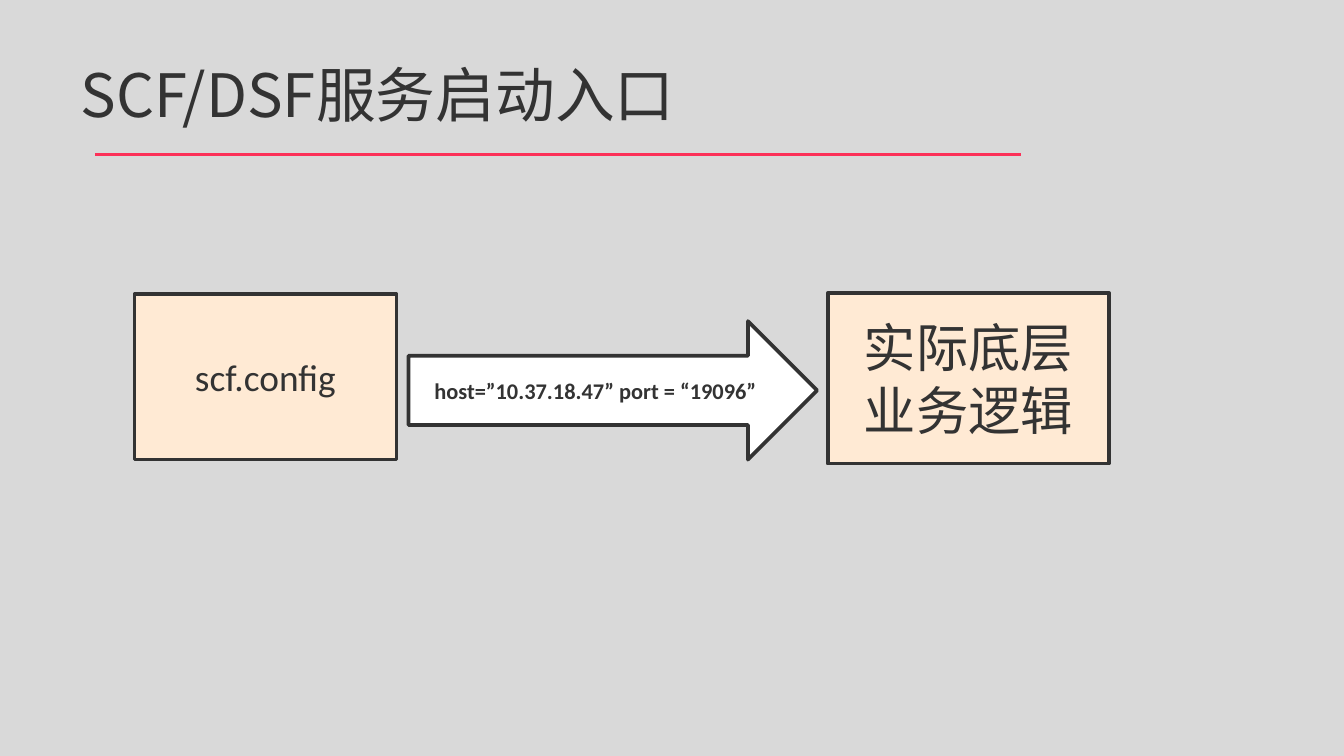
import pptx
import pptx.dml.color
import pptx.enum.shapes
import pptx.enum.text
import pptx.oxml
import pptx.oxml.ns
import pptx.util

Inches = pptx.util.Inches
Pt = pptx.util.Pt
RGBColor = pptx.dml.color.RGBColor
Shape = pptx.enum.shapes.MSO_SHAPE
Align = pptx.enum.text.PP_ALIGN
Anchor = pptx.enum.text.MSO_ANCHOR

GREY = RGBColor(0xD9, 0xD9, 0xD9)
DARK = RGBColor(0x33, 0x33, 0x33)
RED = RGBColor(0xFC, 0x31, 0x58)
PEACH = RGBColor(0xFF, 0xEA, 0xD4)
WHITE = RGBColor(0xFF, 0xFF, 0xFF)
LATIN = "Calibri"
CJK = "Noto Sans CJK SC"


def add_text(frame, text, size, align, font=LATIN, bold=False):
    frame.word_wrap = True
    frame.vertical_anchor = Anchor.MIDDLE
    para = frame.paragraphs[0]
    para.alignment = align
    run = para.add_run()
    run.text = text
    run.font.size = Pt(size)
    run.font.name = font
    run.font.bold = bold
    run.font.color.rgb = DARK
    # East Asian letters take their own typeface
    east = pptx.oxml.parse_xml(
        f'<a:ea {pptx.oxml.ns.nsdecls("a")} typeface="{CJK}"/>')
    run.font._element.find(pptx.oxml.ns.qn("a:latin")).addnext(east)


def add_title(slide, text):
    title = slide.shapes.title
    title.left, title.top = Inches(0.5), Inches(0.23)
    title.width, title.height = Inches(7.09), Inches(0.94)
    add_text(title.text_frame, text, 32, Align.LEFT, CJK)


def add_rule(slide, left, right, top):
    rule = slide.shapes.add_connector(
        pptx.enum.shapes.MSO_CONNECTOR.STRAIGHT,
        Inches(left), Inches(top), Inches(right), Inches(top))
    rule.line.color.rgb = RED
    rule.line.width = Pt(2)
    rule._element.spPr.append(pptx.oxml.parse_xml(
        f'<a:effectLst {pptx.oxml.ns.nsdecls("a")}/>'))


def add_node(slide, kind, place, fill, text, size, bold=False):
    node = slide.shapes.add_shape(kind, *map(Inches, place))
    node.shadow.inherit = False
    node.fill.solid()
    node.fill.fore_color.rgb = fill
    node.line.color.rgb = DARK
    node.line.width = Pt(2)
    add_text(node.text_frame, text, size, Align.CENTER, bold=bold)


def main():
    deck = pptx.Presentation()
    # Wide slide, 16 to 9
    deck.slide_width, deck.slide_height = Inches(10), Inches(10 * 9 / 16)
    slide = deck.slides.add_slide(deck.slide_layouts[5])
    slide.background.fill.solid()
    slide.background.fill.fore_color.rgb = GREY

    # Heading
    add_rule(slide, 0.71, 7.6, 1.15)
    add_title(slide, "SCF/DSF服务启动入口")

    # Flow from config to logic
    box = Shape.FLOWCHART_PROCESS
    add_node(slide, box, (1, 2.19, 1.95, 1.23), PEACH, "scf.config", 20)
    add_node(slide, Shape.RIGHT_ARROW, (3.04, 2.39, 3.04, 1.03), WHITE,
             "host=”10.37.18.47” port = “19096”", 12, bold=True)
    add_node(slide, box, (6.16, 2.18, 2.09, 1.27), PEACH,
             "实际底层业务逻辑", 28)

    deck.save("out.pptx")


if __name__ == "__main__":
    main()
